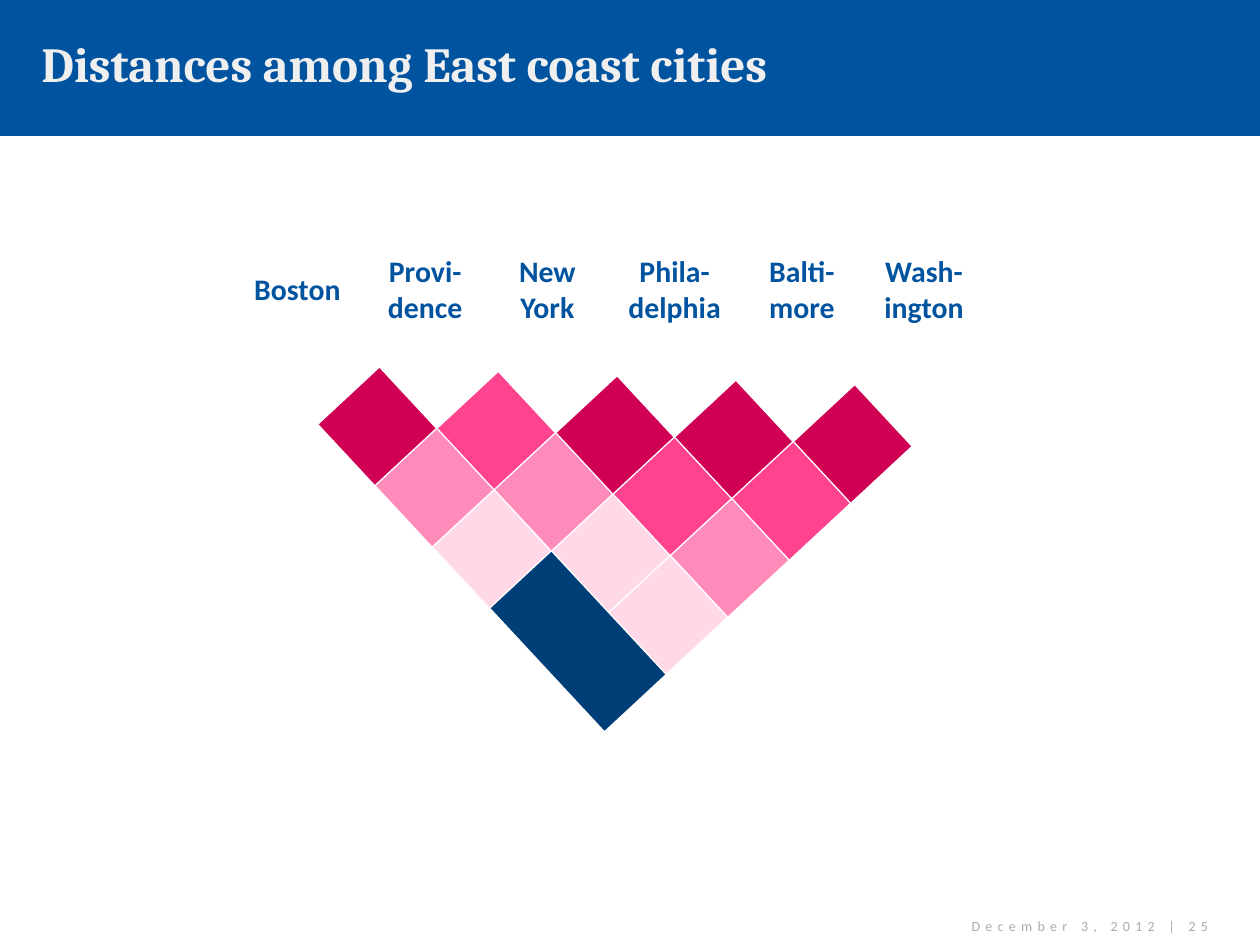
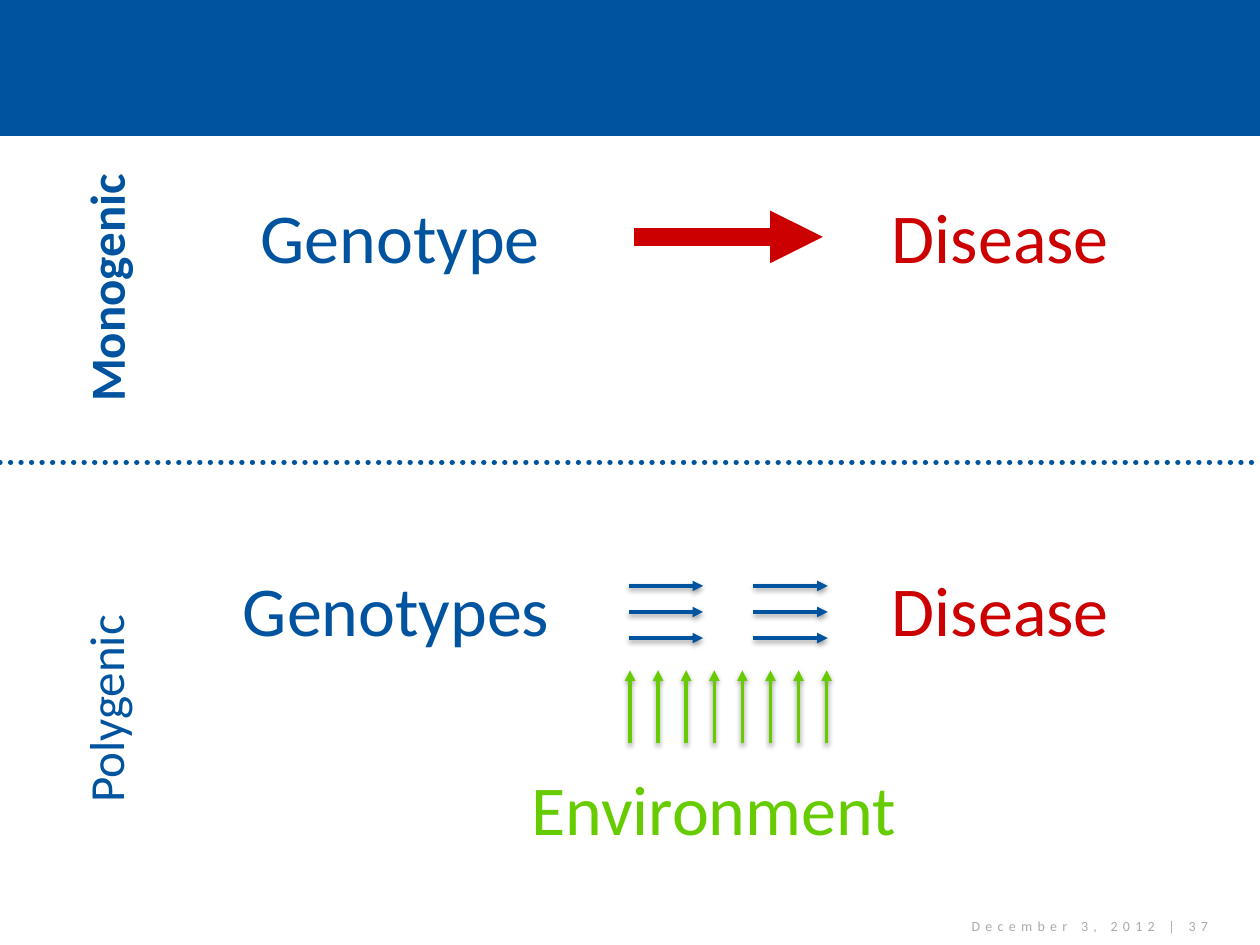
from lxml import etree
from pptx import Presentation
from pptx.dml.color import RGBColor
from pptx.enum.dml import MSO_LINE
from pptx.enum.shapes import MSO_CONNECTOR, MSO_SHAPE
from pptx.enum.text import MSO_ANCHOR, MSO_AUTO_SIZE, PP_ALIGN
from pptx.oxml.ns import qn
from pptx.util import Inches, Pt

RECTANGLE = MSO_SHAPE.RECTANGLE
STRAIGHT = MSO_CONNECTOR.STRAIGHT
ROUND_DOT = MSO_LINE.ROUND_DOT
TOP, MIDDLE = MSO_ANCHOR.TOP, MSO_ANCHOR.MIDDLE
LEFT, CENTER, RIGHT = PP_ALIGN.LEFT, PP_ALIGN.CENTER, PP_ALIGN.RIGHT
FIT_SHAPE = MSO_AUTO_SIZE.SHAPE_TO_FIT_TEXT

BLUE, NAVY, WHITE = "00539F", "003E77", "FFFFFF"
RED, GREEN = "CC0000", "66CC00"
TITLE_GREY, FOOTER_GREY = "EFEFEF", "AAAAAA"
# Distance shades, from nearest to farthest
NEAR, MEDIUM, FAR, FARTHEST = "D00054", "FF438F", "FF8BBA", "FFD9E8"

SLIDE_WIDTH, SLIDE_HEIGHT = 10, 7.5
BAND_HEIGHT = 1.08
BODY_FONT, TITLE_FONT = "Calibri", "Cambria"


def color(hex_string):
    return RGBColor.from_string(hex_string)


def style_text(paragraph, size, hex_string, bold=False, font=BODY_FONT, align=LEFT):
    paragraph.alignment = align
    for run in paragraph.runs:
        run.font.name = font
        run.font.size = Pt(size)
        run.font.bold = bold
        run.font.color.rgb = color(hex_string)


def add_text(slide, box, text, size, hex_string, anchor=MIDDLE, wrap=True, rotation=0, **style):
    shape = slide.shapes.add_textbox(*map(Inches, box))
    shape.rotation = rotation
    frame = shape.text_frame
    frame.word_wrap = wrap
    if not wrap:
        frame.auto_size = FIT_SHAPE
    frame.vertical_anchor = anchor
    frame.text = text
    style_text(frame.paragraphs[0], size, hex_string, **style)
    return shape


def add_rectangle(slide, box, fill, line=None, rotation=0):
    shape = slide.shapes.add_shape(RECTANGLE, *map(Inches, box))
    shape.shadow.inherit = False
    shape.rotation = rotation
    shape.fill.solid()
    shape.fill.fore_color.rgb = color(fill)
    if line:
        shape.line.color.rgb = color(line)
        shape.line.width = Pt(0.75)
    else:
        shape.line.fill.background()


def add_line(slide, start, end, hex_string, width, arrow=True, shadow=False):
    connector = slide.shapes.add_connector(STRAIGHT, *map(Inches, (*start, *end)))
    connector.line.color.rgb = color(hex_string)
    connector.line.width = Pt(width)
    properties = connector._element.spPr
    if arrow:
        outline = properties.find(qn("a:ln"))
        etree.SubElement(outline, qn("a:tailEnd"), type="triangle")
    effects = etree.SubElement(properties, qn("a:effectLst"))
    if shadow:
        outer = etree.SubElement(effects, qn("a:outerShdw"), blurRad=str(Pt(3.1)),
                                 dist=str(Pt(1.6)), dir="5400000", rotWithShape="0")
        black = etree.SubElement(outer, qn("a:srgbClr"), val="000000")
        etree.SubElement(black, qn("a:alpha"), val="38000")
    return connector


def add_base_slide(presentation, number, title=None):
    """Blue band, white body, title and footer."""
    slide = presentation.slides.add_slide(presentation.slide_layouts[6])
    slide.background.fill.solid()
    slide.background.fill.fore_color.rgb = color(BLUE)
    add_rectangle(slide, (0, BAND_HEIGHT, SLIDE_WIDTH, SLIDE_HEIGHT - BAND_HEIGHT), WHITE)
    if title:
        add_text(slide, (0.23, 0, 8.02, 1), title, 28, TITLE_GREY, bold=True, font=TITLE_FONT)
    footer = add_text(slide, (7.13, 7.25, 2.56, 0.2), f"December 3, 2012 | {number}",
                      8, FOOTER_GREY, align=RIGHT)
    footer.text_frame.paragraphs[0].runs[0].font._element.set("spc", "300")
    return slide


def add_city_table(slide, left, top):
    cities = {"Boston": 1.06, "Provi-dence": 0.97, "New York": 0.97,
              "Phila-delphia": 1.05, "Balti-more": 0.97, "Wash-ington": 0.97}
    height = 0.71
    table = slide.shapes.add_table(1, len(cities), Inches(left), Inches(top),
                                   Inches(sum(cities.values())), Inches(height)).table
    table.first_row = table.horz_banding = False
    table.rows[0].height = Inches(height)
    for index, (city, width) in enumerate(cities.items()):
        table.columns[index].width = Inches(width)
        cell = table.cell(0, index)
        cell.fill.background()
        cell.vertical_anchor = MIDDLE
        cell.text = city
        style_text(cell.text_frame.paragraphs[0], 17, BLUE, bold=True, align=CENTER)


def add_distance_triangle(slide, left, top):
    """Tilted half matrix; the navy cell covers the first places of rows 3 and 4."""
    side, tilt = 0.67, 317.1
    across, down = (0.943, 0.035), (0.455, 0.487)
    rows = [
        [NEAR, MEDIUM, NEAR, NEAR, NEAR],
        [FAR, FAR, MEDIUM, MEDIUM],
        [FARTHEST, FARTHEST, FAR],
        [None, FARTHEST],
    ]

    def place(row, column):
        return (left + column * across[0] + row * down[0],
                top + column * across[1] + row * down[1])

    for row, shades in enumerate(rows):
        for column, shade in enumerate(shades):
            if shade:
                add_rectangle(slide, (*place(row, column), side, side), shade, WHITE, tilt)
    x, y = place(3.5, 0)
    add_rectangle(slide, (x, y - side / 2, side, 2 * side), NAVY, WHITE, tilt)


def add_cause_and_effect(slide, top, cause, cause_left, cause_width):
    for text, left, width, shade in ((cause, cause_left, cause_width, BLUE),
                                     ("Disease", 6.98, 1.95, RED)):
        add_text(slide, (left, top, width, 0.77), text, 40, shade, anchor=TOP, wrap=False)


def add_monogenic_panel(slide, top):
    add_text(slide, (-1.05, top + 0.92, 3.77, 0.57), "Monogenic", 28, BLUE,
             rotation=270, bold=True, align=CENTER)
    add_cause_and_effect(slide, top + 0.41, "Genotype", 1.97, 2.46)
    add_line(slide, (5.03, top + 0.8), (6.53, top + 0.8), RED, 10)


def add_polygenic_panel(slide, top):
    add_text(slide, (-0.8, top + 1.37, 3.26, 1.17), "Polygenic", 28, BLUE,
             rotation=270, align=CENTER)
    add_cause_and_effect(slide, top + 0.78, "Genotypes", 1.83, 2.67)
    add_text(slide, (4.12, top + 2.36, 3.15, 0.77), "Environment", 40, GREEN,
             anchor=TOP, wrap=False)
    # Environment arrows
    for index in range(8):
        x = 5 + index * 0.223
        add_line(slide, (x, top + 2.23), (x, top + 1.65), GREEN, 2, shadow=True)
    # Two columns of genotype arrows
    for x in (4.99, 5.98):
        for index in range(3):
            y = top + 0.98 + index * 0.207
            add_line(slide, (x, y), (x + 0.59, y), BLUE, 2, shadow=True)


def build_distance_slide(presentation):
    slide = add_base_slide(presentation, 25, "Distances among East coast cities")
    add_distance_triangle(slide, 2.66, 3.05)
    add_city_table(slide, 1.83, 1.95)


def build_genetics_slide(presentation):
    slide = add_base_slide(presentation, 37)
    divider_y = 3.67
    add_monogenic_panel(slide, BAND_HEIGHT)
    add_polygenic_panel(slide, divider_y)
    divider = add_line(slide, (0, divider_y), (SLIDE_WIDTH, divider_y), BLUE, 3, arrow=False)
    divider.line.dash_style = ROUND_DOT
    divider._element.spPr.find(qn("a:ln")).set("cap", "rnd")


def main():
    presentation = Presentation()
    presentation.slide_width = Inches(SLIDE_WIDTH)
    presentation.slide_height = Inches(SLIDE_HEIGHT)
    build_distance_slide(presentation)
    build_genetics_slide(presentation)
    presentation.save("out.pptx")


if __name__ == "__main__":
    main()
